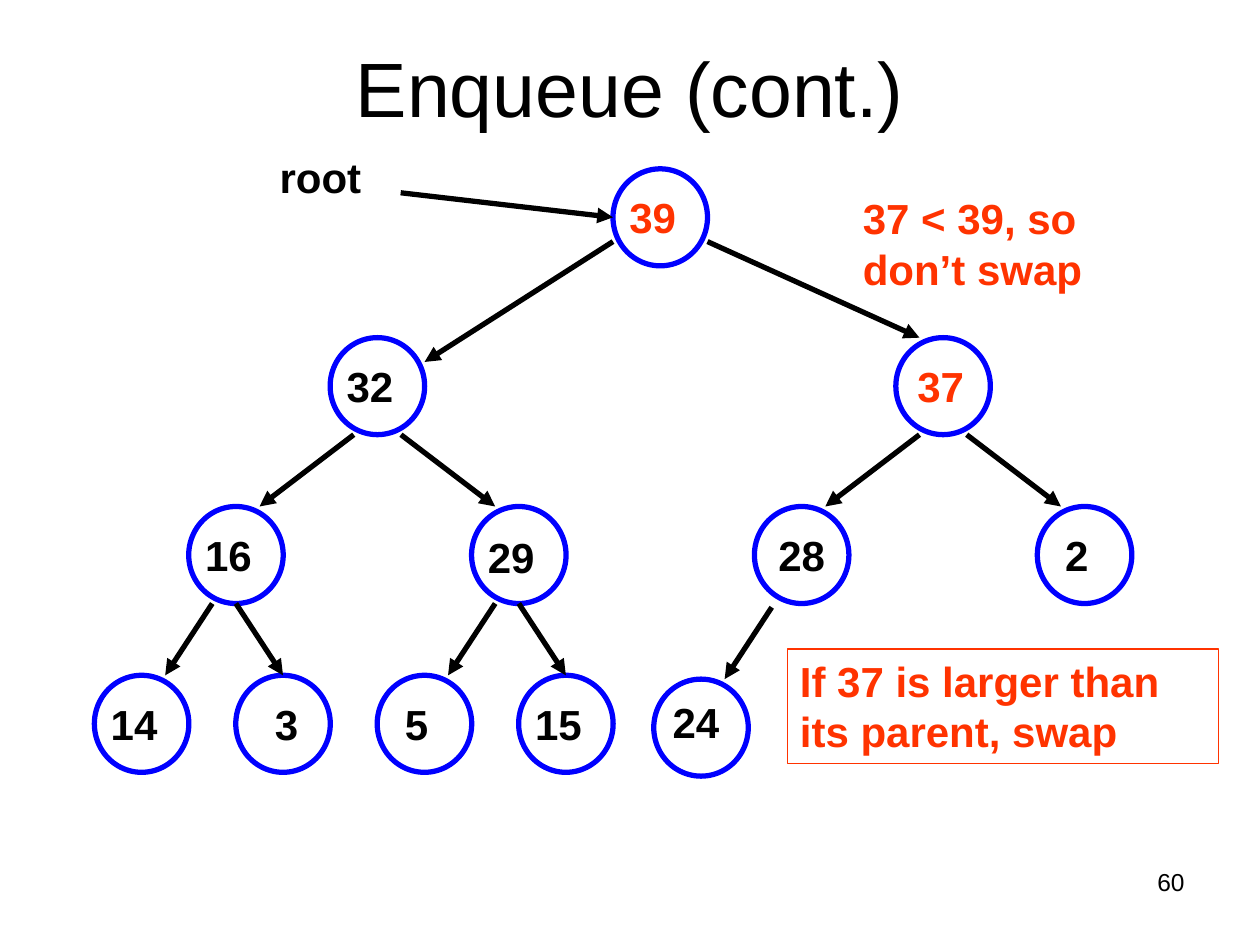
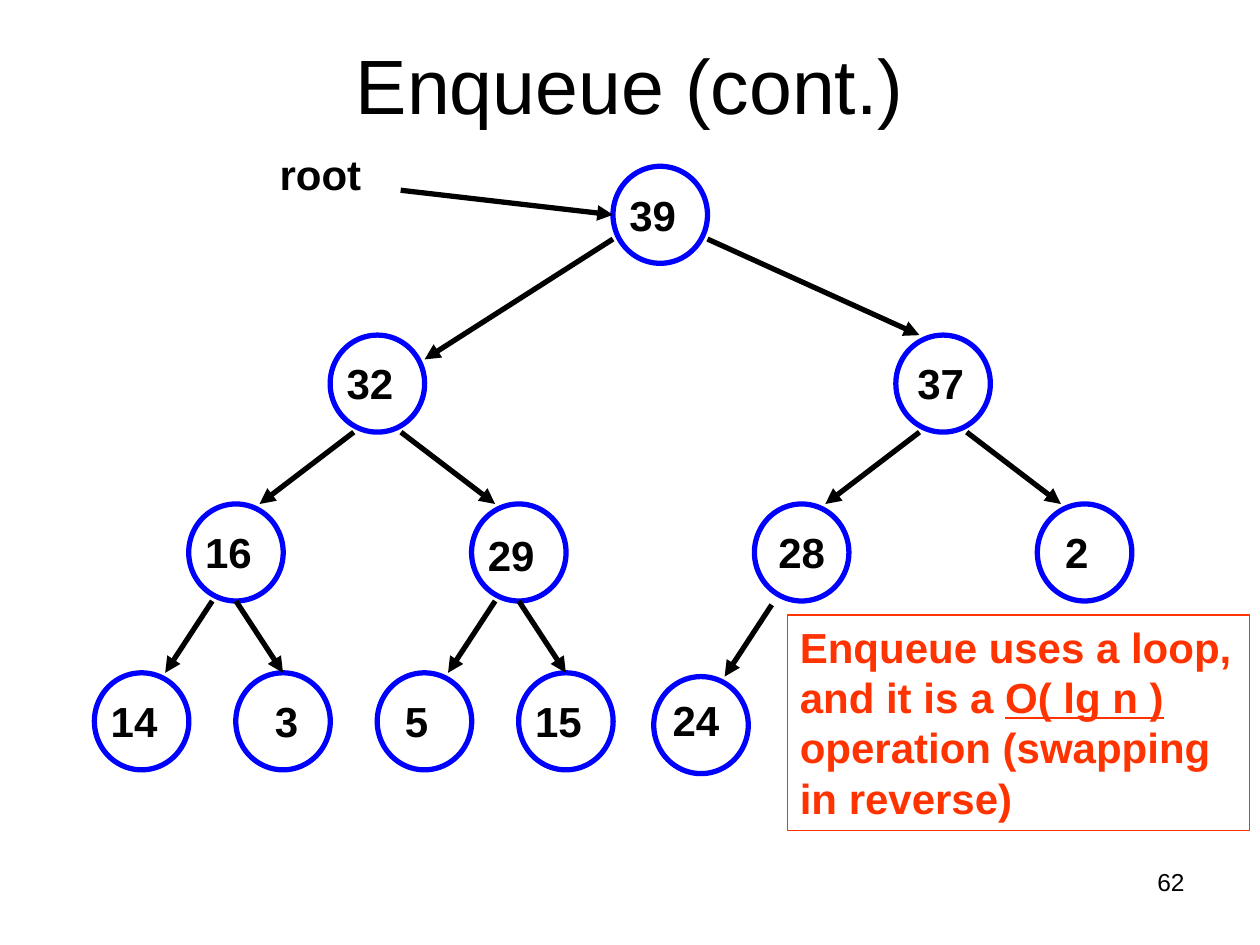
from dataclasses import dataclass

from lxml import etree
from pptx import Presentation
from pptx.dml.color import RGBColor
from pptx.enum.shapes import MSO_CONNECTOR as Connector, MSO_SHAPE as Shape
from pptx.enum.text import MSO_ANCHOR as Anchor, PP_ALIGN as Align
from pptx.oxml.ns import qn
from pptx.util import Inches, Pt


@dataclass(frozen=True)
class Theme:
    """Colours, font, type sizes and line widths of the deck."""
    font: str = "Arial"
    ink: RGBColor = RGBColor(0, 0, 0)
    paper: RGBColor = RGBColor(255, 255, 255)
    ring: RGBColor = RGBColor(0, 0, 255)
    accent: RGBColor = RGBColor(255, 51, 0)
    title: int = 44
    body: int = 24
    number: int = 14
    stroke: float = 3
    frame: float = 0.75


@dataclass(frozen=True)
class Box:
    """A rectangle in inches."""
    left: float
    top: float
    width: float
    height: float

    def lengths(self):
        """Return the four sides as lengths."""
        return [Inches(side) for side in (self.left, self.top, self.width, self.height)]

    def at(self, across, down):
        """Return the point at two fractions of the box."""
        return self.left + across * self.width, self.top + down * self.height


@dataclass(frozen=True)
class Node:
    """A heap value, its label's distance from the circle's edges, and its nudge."""
    value: int
    indent: float = 0.13
    drop: float = 0.18
    nudge: tuple = (0, 0)


THEME = Theme()
NODE_WIDTH, NODE_HEIGHT, LEVEL_PITCH = 0.75, 0.77, 1.34
OVAL_INSET = 0.146
LEAF_LEVEL = 3
HEAP = [
    Node(39), Node(32), Node(37, 0.17),
    Node(16), Node(29, drop=0.2), Node(28, 0.19), Node(2, 0.22),
    Node(14), Node(3, 0.31), Node(5, 0.22), Node(15),
    Node(24, 0.15, 0.14, (-0.05, 0.03)),
]
LINK_ENDS = {
    1: [((0, 0.75), (1, 0.25)), ((1, 0.75), (0.25, 0))],
    2: [((0.25, 1), (0.75, 0)), ((0.75, 1), (0.25, 0))],
    3: [((0.25, 1), (0.75, 0)), ((0.5, 1), (0.5, 0))],
}


def style_span(span, size, color, bold=False):
    """Give a run its font."""
    span.font.name, span.font.size = THEME.font, Pt(size)
    span.font.color.rgb, span.font.bold = color, bold


def add_text(page, box, text, size=THEME.body, color=THEME.ink, bold=True,
             align=Align.LEFT, anchor=Anchor.TOP):
    """Add a wrapping one-paragraph text box."""
    label = page.shapes.add_textbox(*box.lengths())
    frame = label.text_frame
    frame.word_wrap, frame.vertical_anchor = True, anchor
    frame.text = text
    para = frame.paragraphs[0]
    para.alignment = align
    style_span(para.runs[0], size, color, bold)
    return label


def add_arrow(page, start, end):
    """Add a straight arrow between two points."""
    arrow = page.shapes.add_connector(
        Connector.STRAIGHT, *(Inches(length) for length in (*start, *end)))
    arrow.line.color.rgb, arrow.line.width = THEME.ink, Pt(THEME.stroke)
    etree.SubElement(arrow.line._get_or_add_ln(), qn("a:tailEnd"), type="triangle")
    etree.SubElement(arrow._element.spPr, qn("a:effectLst"))


def add_node(page, box, node, color):
    """Add a circle with its value."""
    circle = page.shapes.add_shape(Shape.OVAL, *box.lengths())
    circle.shadow.inherit = False
    circle.fill.solid()
    circle.fill.fore_color.rgb = THEME.paper
    circle.line.color.rgb, circle.line.width = THEME.ring, Pt(THEME.stroke)
    frame = circle.text_frame
    frame.word_wrap, frame.vertical_anchor = True, Anchor.TOP
    frame.margin_left = Inches(node.indent - OVAL_INSET * box.width)
    frame.margin_top = Inches(node.drop - OVAL_INSET * box.height)
    frame.margin_right = frame.margin_bottom = 0
    frame.text = str(node.value)
    para = frame.paragraphs[0]
    para.alignment = Align.LEFT
    style_span(para.runs[0], THEME.body, color, bold=True)


def node_box(area, index):
    """Place a heap position in its level of the tree area."""
    level = (index + 1).bit_length() - 1
    place = index + 1 - 2 ** level
    center = area.left + area.width * (place + 0.5) / 2 ** level
    if level == LEAF_LEVEL:
        center -= NODE_WIDTH / 4
    across, down = HEAP[index].nudge
    return Box(center - NODE_WIDTH / 2 + across, area.top + level * LEVEL_PITCH + down,
               NODE_WIDTH, NODE_HEIGHT)


def draw_tree(page, area, marked):
    """Draw the heap with its links and root pointer, marked values in accent."""
    boxes = [node_box(area, index) for index in range(len(HEAP))]
    for box, node in zip(boxes, HEAP):
        add_node(page, box, node, THEME.accent if node.value in marked else THEME.ink)
    for index in range(1, len(HEAP)):
        level, side = (index + 1).bit_length() - 1, (index + 1) % 2
        leave, arrive = LINK_ENDS[level][side]
        start = boxes[(index - 1) // 2].at(*leave)
        nudged = [length + shift for length, shift in zip(start, HEAP[index].nudge)]
        add_arrow(page, nudged, boxes[index].at(*arrive))
    add_text(page, Box(area.left + 1.37, area.top - 0.19, 1.25, 0.57), "root")
    add_arrow(page, (area.left + 2.43, area.top + 0.19), boxes[0].at(0, 0.5))


def add_callout(page, box, *pieces):
    """Add a framed remark whose every second piece is underlined."""
    callout = add_text(page, box, pieces[0], color=THEME.accent)
    callout.line.color.rgb, callout.line.width = THEME.accent, Pt(THEME.frame)
    para = callout.text_frame.paragraphs[0]
    for position, piece in enumerate(pieces[1:], 1):
        span = para.add_run()
        span.text = piece
        style_span(span, THEME.body, THEME.accent, bold=True)
        span.font.underline = position % 2 == 1


def add_heap_page(deck, number, top, marked=()):
    """Add a slide with title, tree and number, its content starting at top."""
    page = deck.slides.add_slide(deck.slide_layouts[6])
    add_text(page, Box(0.5, top, 9, 1.25), "Enqueue (cont.)", THEME.title, bold=False,
             align=Align.CENTER, anchor=Anchor.MIDDLE)
    draw_tree(page, Box(0.75, top + 1.28, 8.98, 4.8), marked)
    add_text(page, Box(7.17, 6.83, 2.33, 0.52), str(number), THEME.number, bold=False,
             align=Align.RIGHT)
    return page


def main():
    """Build the deck."""
    deck = Presentation()
    deck.slide_width, deck.slide_height = Inches(10), Inches(7.5)
    compare = add_heap_page(deck, 60, 0.06, marked=(39, 37))
    add_callout(compare, Box(6.25, 5.15, 3.42, 0.91), "If 37 is larger than its parent, swap")
    add_text(compare, Box(6.75, 1.48, 2.7, 0.9), "37 < 39, so don’t swap", color=THEME.accent)
    cost = add_heap_page(deck, 62, 0.04)
    add_callout(cost, Box(6.25, 4.88, 3.67, 1.71), "Enqueue uses a loop, and it is a ",
                "O( lg n )", " operation (swapping in reverse)")
    deck.save("out.pptx")


if __name__ == "__main__":
    main()
